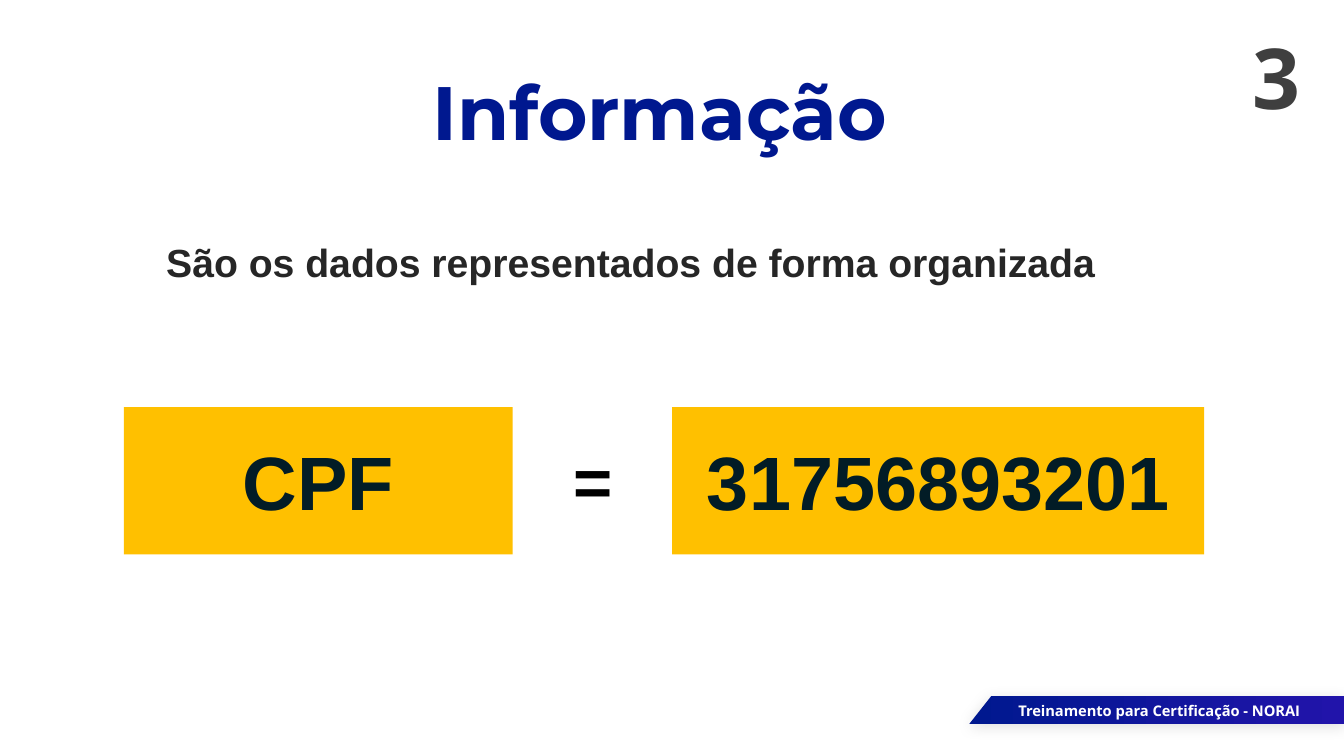
from lxml.etree import SubElement
from pptx import Presentation
from pptx.dml.color import RGBColor
from pptx.enum.shapes import MSO_SHAPE
from pptx.enum.text import MSO_ANCHOR, PP_ALIGN
from pptx.oxml.ns import qn
from pptx.util import Cm, Pt

NAVY = RGBColor(0x00, 0x18, 0x8F)
VIOLET = RGBColor(0x21, 0x14, 0xAA)
AMBER = RGBColor(0xFF, 0xC0, 0x00)
INK = RGBColor(0x02, 0x1C, 0x26)
CHARCOAL = RGBColor(0x26, 0x26, 0x26)
GRAY = RGBColor(0x3F, 0x3F, 0x3F)
BLACK = RGBColor(0x00, 0x00, 0x00)
WHITE = RGBColor(0xFF, 0xFF, 0xFF)


def write(tf, text, size, color, font="Arial", align=PP_ALIGN.CENTER,
          anchor=MSO_ANCHOR.TOP):
    tf.word_wrap = True
    tf.vertical_anchor = anchor
    p = tf.paragraphs[0]
    p.alignment = align
    r = p.add_run()
    r.text = text
    r.font.size = Pt(size)
    r.font.name = font
    r.font.bold = True
    r.font.color.rgb = color


def add_text(s, left, top, width, height, text, **fmt):
    tb = s.shapes.add_textbox(Cm(left), Cm(top), Cm(width), Cm(height))
    write(tb.text_frame, text, **fmt)


def add_box(s, left, width, text):
    sp = s.shapes.add_shape(MSO_SHAPE.RECTANGLE, Cm(left), Cm(10.26),
                            Cm(width), Cm(3.71))
    sp.shadow.inherit = False
    sp.fill.solid()
    sp.fill.fore_color.rgb = AMBER
    sp.line.fill.background()
    write(sp.text_frame, text, size=54, color=INK, anchor=MSO_ANCHOR.MIDDLE)


def add_soft_shadow(sp):
    sp.shadow.inherit = False
    effects = sp.element.spPr.find(qn("a:effectLst"))
    shadow = SubElement(effects, qn("a:outerShdw"), blurRad=str(Pt(11)),
                        dist=str(Pt(2)), dir="5400000", rotWithShape="0")
    color = SubElement(shadow, qn("a:srgbClr"), val="000000")
    SubElement(color, qn("a:alpha"), val="12000")


def add_ribbon(s):
    top, bottom, right = Cm(17.53), Cm(18.24), Cm(33.87)
    fb = s.shapes.build_freeform(Cm(24.99), top)
    fb.add_line_segments([(right, top), (right, bottom), (Cm(24.43), bottom)])
    sp = fb.convert_to_shape()
    sp.fill.gradient()
    sp.fill.gradient_angle = 0
    for stop, color in zip(sp.fill.gradient_stops, (NAVY, VIOLET)):
        stop.color.rgb = color
    sp.line.fill.background()
    add_soft_shadow(sp)


def main():
    prs = Presentation()
    prs.slide_width, prs.slide_height = Cm(33.87), Cm(19.05)
    s = prs.slides.add_slide(prs.slide_layouts[6])
    add_ribbon(s)
    add_text(s, 26.24, 0.51, 6.78, 2.82, "3", size=60, color=GRAY,
             font="Open Sans", align=PP_ALIGN.RIGHT, anchor=MSO_ANCHOR.MIDDLE)
    add_text(s, 25.2, 17.55, 7.82, 0.71, "Treinamento para Certificação - NORAI",
             size=10.5, color=WHITE, font="Open Sans", align=PP_ALIGN.RIGHT)
    add_box(s, 16.94, 13.41, "31756893201")
    add_box(s, 3.12, 9.8, "CPF")
    add_text(s, 14.05, 10.95, 1.78, 2.31, "=", size=48, color=BLACK)
    add_text(s, 3.94, 5.87, 24.61, 1.45,
             "São os dados representados de forma organizada",
             size=28, color=CHARCOAL, align=PP_ALIGN.LEFT)
    add_text(s, 7.32, 1.5, 18.62, 2.57, "Informação", size=54, color=NAVY,
             font="Montserrat")
    prs.save("out.pptx")


if __name__ == "__main__":
    main()
